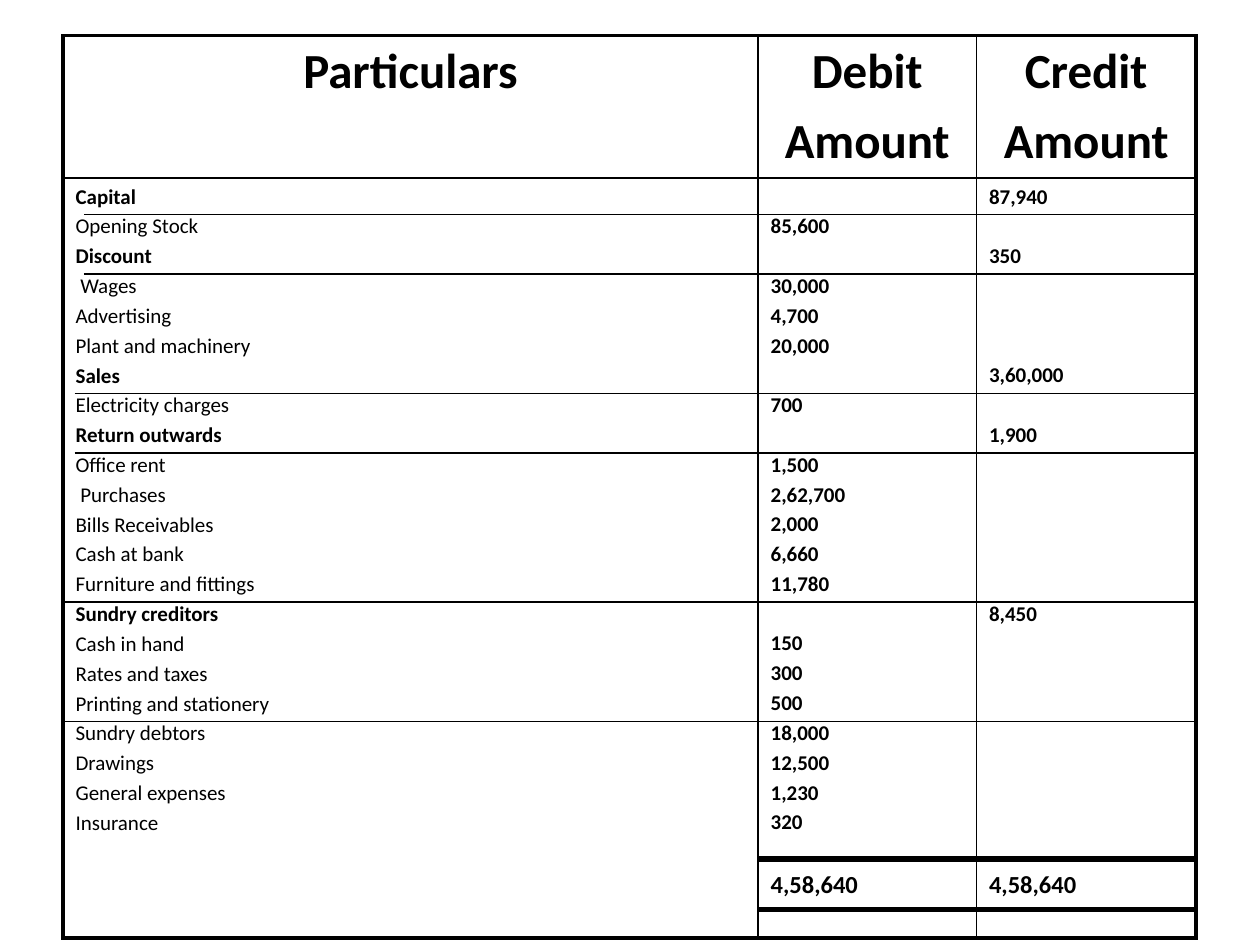
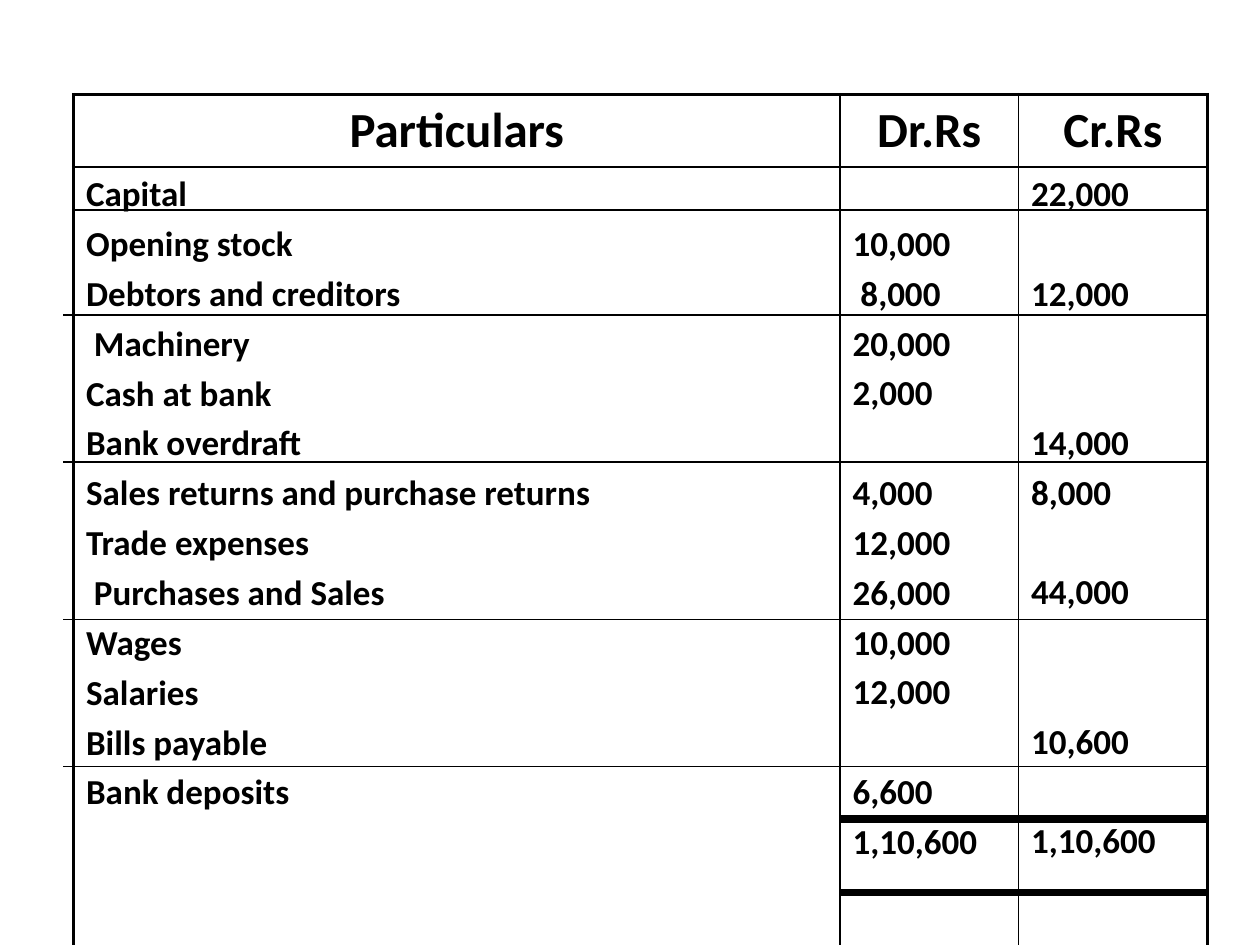
"""Build two trial balance slides."""
from pptx import Presentation
from pptx.dml.color import RGBColor
from pptx.enum.shapes import MSO_CONNECTOR
from pptx.enum.text import MSO_ANCHOR, PP_ALIGN
from pptx.oxml.ns import qn
from pptx.util import Emu, Inches, Pt
from lxml import etree

STRAIGHT = MSO_CONNECTOR.STRAIGHT
TOP = MSO_ANCHOR.TOP
LEFT, CENTER = PP_ALIGN.LEFT, PP_ALIGN.CENTER

GRID_COLUMNS, GRID_ROWS = 120, 90
LINE_HEIGHT, PARA_GAP = 1.22, 0.2   # shares of the font size
CELL_PADDING = Inches(0.05)
OUTER, INNER, RULE = 2.25, 1, 0.75  # line widths in points


def color(hex_string):
    """Turn a hex string into a colour."""
    return RGBColor.from_string(hex_string)


class Ledger:
    """Holds the style, the deck and the current slide."""

    font, ink, paper = "Calibri", "000000", "FFFFFF"
    heading_size = 28

    def __init__(self):
        """Start a deck of 10 by 7.5 inches."""
        self.deck = Presentation()
        self.deck.slide_width, self.deck.slide_height = Inches(10), Inches(7.5)
        self.page = None

    def x(self, columns):
        """Convert grid columns to a length."""
        return Emu(round(self.deck.slide_width * columns / GRID_COLUMNS))

    def y(self, rows):
        """Convert grid rows to a length."""
        return Emu(round(self.deck.slide_height * rows / GRID_ROWS))

    def add_page(self):
        """Add a blank slide and make it current."""
        self.page = self.deck.slides.add_slide(self.deck.slide_layouts[6])
        fill = self.page.background.fill
        fill.solid()
        fill.fore_color.rgb = color(self.paper)

    def rule(self, start, end, row, width=RULE):
        """Draw a horizontal rule between two grid columns."""
        line = self.page.shapes.add_connector(
            STRAIGHT, self.x(start), self.y(row), self.x(end), self.y(row))
        line.line.color.rgb = color(self.ink)
        line.line.width = Pt(width)
        etree.SubElement(line._element.spPr, qn("a:effectLst"))

    def frame_cell(self, cell, widths):
        """Border a cell; widths are left, right, top and bottom in points."""
        properties = cell._tc.get_or_add_tcPr()
        for side, width in zip(("L", "R", "T", "B"), widths):
            border = etree.SubElement(properties, qn("a:ln" + side), w=str(Pt(width)))
            fill = etree.SubElement(border, qn("a:solidFill"))
            etree.SubElement(fill, qn("a:srgbClr"), val=self.ink)
        cell.fill.background()

    def fill_cell(self, cell, entries, size, align=LEFT):
        """Set (line, text, size, bold) entries, leaving empty lines as space."""
        pitch = size * (LINE_HEIGHT + PARA_GAP)
        cell.vertical_anchor = TOP
        cell.margin_top = CELL_PADDING + Pt(entries[0][0] * pitch)
        previous = None
        for line, text, text_size, bold in entries:
            if previous is None:
                para = cell.text_frame.paragraphs[0]
            else:
                para = cell.text_frame.add_paragraph()
                skipped = line - previous - 1
                para.space_before = Pt(round(text_size * PARA_GAP + skipped * pitch, 1))
            para.alignment = align
            span = para.add_run()
            span.text = text
            span.font.name, span.font.size, span.font.bold = self.font, Pt(text_size), bold
            span.font.color.rgb = color(self.ink)
            previous = line

    def balance(self, left, top, widths, heights, headings, accounts, total,
                size, total_size, total_line, all_bold):
        """Add a trial balance table: headings over columns of accounts."""
        table = self.page.shapes.add_table(
            2, len(widths), self.x(left), self.y(top),
            self.x(sum(widths)), self.y(sum(heights))).table
        table.first_row = table.horz_banding = False
        for row, height in zip(table.rows, heights):
            row.height = self.y(height)
        for index, width in enumerate(widths):
            table.columns[index].width = self.x(width)
            head, body = table.cell(0, index), table.cell(1, index)
            sides = (OUTER if index == 0 else INNER,
                     OUTER if index == len(widths) - 1 else INNER)
            self.frame_cell(head, (*sides, OUTER, INNER))
            self.frame_cell(body, (*sides, INNER, OUTER))

            words = headings[index].split()
            self.fill_cell(head, [(line, word, self.heading_size, True)
                                  for line, word in enumerate(words)],
                           self.heading_size, CENTER)
            # Names of credit accounts are bold, and so is every amount.
            entries = [(line, account[index], size,
                        bool(all_bold or index or account[2]))
                       for line, account in enumerate(accounts) if account[index]]
            if index:
                entries.append((total_line, total, total_size, True))
            self.fill_cell(body, entries, size)


YEAR_ACCOUNTS = [
    ("Capital", "", "87,940"),
    ("Opening Stock", "85,600", ""),
    ("Discount", "", "350"),
    (" Wages", "30,000", ""),
    ("Advertising", "4,700", ""),
    ("Plant and machinery", "20,000", ""),
    ("Sales", "", "3,60,000"),
    ("Electricity charges", "700", ""),
    ("Return outwards", "", "1,900"),
    ("Office rent", "1,500", ""),
    (" Purchases", "2,62,700", ""),
    ("Bills Receivables", "2,000", ""),
    ("Cash at bank", "6,660", ""),
    ("Furniture and fittings", "11,780", ""),
    ("Sundry creditors", "", "8,450"),
    ("Cash in hand", "150", ""),
    ("Rates and taxes", "300", ""),
    ("Printing and stationery", "500", ""),
    ("Sundry debtors", "18,000", ""),
    ("Drawings", "12,500", ""),
    ("General expenses", "1,230", ""),
    ("Insurance", "320", ""),
]
PAIRED_ACCOUNTS = [
    ("Capital", "", "22,000"),
    ("Opening stock", "10,000", ""),
    ("Debtors and creditors", " 8,000", "12,000"),
    (" Machinery", "20,000", ""),
    ("Cash at bank", "2,000", ""),
    ("Bank overdraft", "", "14,000"),
    ("Sales returns and purchase returns", "4,000", "8,000"),
    ("Trade expenses", "12,000", ""),
    (" Purchases and Sales", "26,000", "44,000"),
    ("Wages", "10,000", ""),
    ("Salaries", "12,000", ""),
    ("Bills payable", "", "10,600"),
    ("Bank deposits", "6,600", ""),
]


def year_balance(ledger):
    """Build the trial balance with debit and credit amounts."""
    ledger.add_page()
    ledger.balance(6, 3.4, (66.2, 20.8, 20.9), (13.5, 72.4),
                   ("Particulars", "Debit Amount", "Credit Amount"),
                   YEAR_ACCOUNTS, "4,58,640", size=12, total_size=14,
                   total_line=len(YEAR_ACCOUNTS) + 1, all_bold=False)
    first_line, pitch, right = 17.57, 2.84, 113.9
    for start, line in ((8, 1), (8, 3), (7.1, 7), (7.1, 9), (6.1, 14), (6.1, 18)):
        ledger.rule(start, right, first_line + line * pitch)
    for row in (81.8, 86.6):
        ledger.rule(72.3, right, row, width=3)


def paired_balance(ledger):
    """Build the trial balance in rupees."""
    ledger.add_page()
    ledger.balance(7, 9, (73, 17, 18), (6.84, 82), ("Particulars", "Dr.Rs", "Cr.Rs"),
                   PAIRED_ACCOUNTS, "1,10,600", size=20, total_size=20,
                   total_line=len(PAIRED_ACCOUNTS), all_bold=True)
    right = 115
    for start, row in ((7, 20), (6, 30), (6, 44), (6, 59), (6, 73)):
        ledger.rule(start, right, row)
    for row in (78, 85):
        ledger.rule(80, right, row, width=4.5)


ledger = Ledger()
year_balance(ledger)
paired_balance(ledger)
ledger.deck.save("out.pptx")
